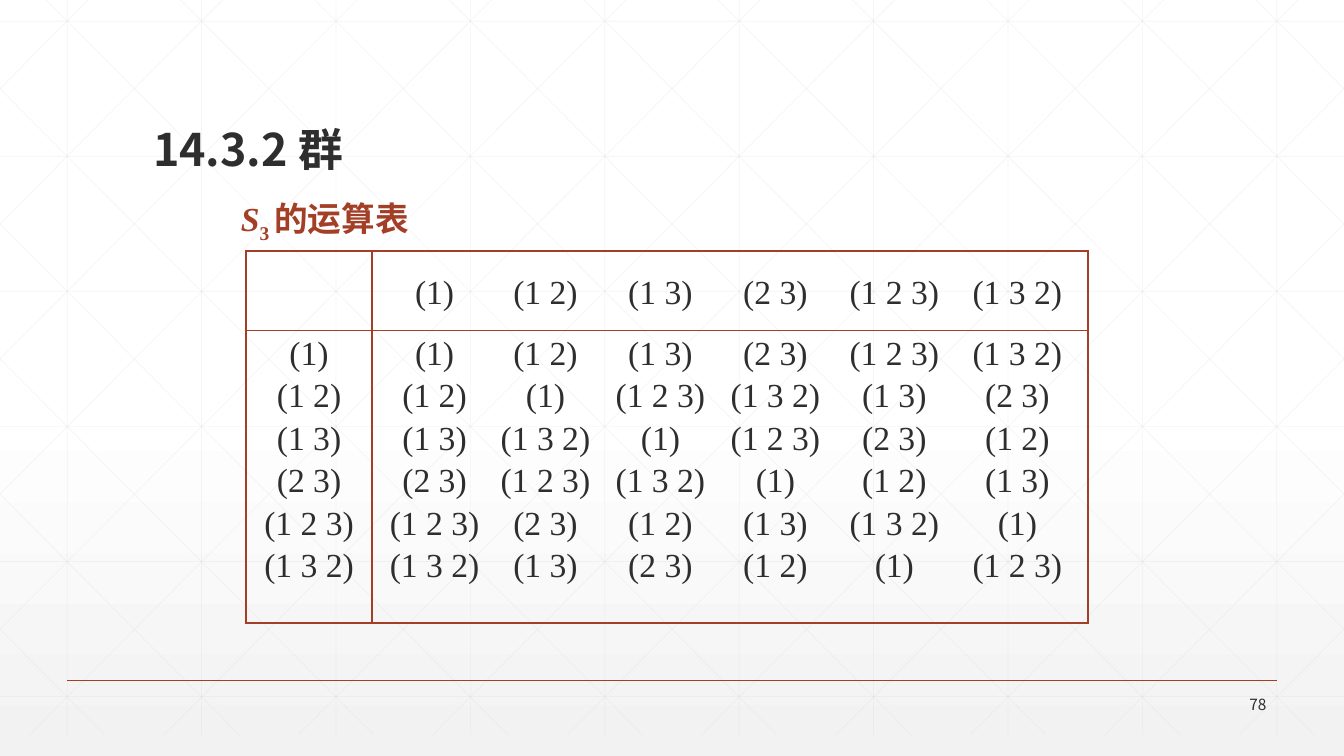
from dataclasses import dataclass
from lxml.etree import SubElement
from pptx import Presentation
from pptx.dml.color import RGBColor
from pptx.enum.shapes import MSO_CONNECTOR
from pptx.enum.text import MSO_ANCHOR, MSO_AUTO_SIZE, PP_ALIGN
from pptx.oxml.ns import qn
from pptx.util import Inches, Pt

SECTION = "14.3.2 群"
SUBTITLE = [
    ("S", {"italic": True}, None),
    ("3 ", {}, "-25000"),
    ("的运算表", {}, None),
]
PAGE_NUMBER = "78"
ELEMENTS = ["(1)", "(1 2)", "(1 3)", "(2 3)", "(1 2 3)", "(1 3 2)"]
PRODUCTS = [
    ["(1)", "(1 2)", "(1 3)", "(2 3)", "(1 2 3)", "(1 3 2)"],
    ["(1 2)", "(1)", "(1 2 3)", "(1 3 2)", "(1 3)", "(2 3)"],
    ["(1 3)", "(1 3 2)", "(1)", "(1 2 3)", "(2 3)", "(1 2)"],
    ["(2 3)", "(1 2 3)", "(1 3 2)", "(1)", "(1 2)", "(1 3)"],
    ["(1 2 3)", "(2 3)", "(1 2)", "(1 3)", "(1 3 2)", "(1)"],
    ["(1 3 2)", "(1 3)", "(2 3)", "(1 2)", "(1)", "(1 2 3)"],
]


@dataclass(frozen=True)
class Theme:
    ink: str = "2D2E2D"
    accent: str = "A43F27"
    mesh: str = "D9D9D9"
    paper: str = "FFFFFF"
    shade: str = "F2F2F2"
    serif: str = "Times New Roman"
    sans: str = "Noto Sans CJK SC"
    heading: int = 32
    body: int = 24
    small: int = 11
    thick: float = 2.25
    thin: float = 1
    hairline: float = 0.5


THEME = Theme()
WIDTH, HEIGHT = 13.33, 7.5
MESH_TOP, MESH_BOTTOM = -0.21, 7.29
MESH_STEP = WIDTH / 10
MESH_ROW = 1.34
DIAGONAL_START, DIAGONAL_RUN = 0.25, 7.455
COLUMN_WIDTHS = [1.25, 7.1]
ROW_HEIGHTS = [0.79, 2.9]
TAB_STOPS = [0.52, 1.62, 2.76, 3.9, 5.08, 6.3]


def color(value):
    return RGBColor.from_string(value)


def apply(target, values):
    for name, value in values.items():
        setattr(target, name, value)


def add_span(para, text, size, tint, font, extra=None, baseline=None):
    span = para.add_run()
    span.text = text
    apply(span.font, {"size": Pt(size), "name": font, **(extra or {})})
    span.font.color.rgb = color(tint)
    properties = span.font._element
    SubElement(properties, qn("a:ea")).set("typeface", THEME.sans)
    if baseline:
        properties.set("baseline", baseline)


def prepare_frame(box, anchor):
    apply(box.text_frame, {
        "word_wrap": True,
        "auto_size": MSO_AUTO_SIZE.NONE,
        "vertical_anchor": anchor,
    })
    return box.text_frame.paragraphs[0]


def add_line(shapes, start, end, tint, weight, opacity=None):
    line = shapes.add_connector(
        MSO_CONNECTOR.STRAIGHT, *(Inches(value) for value in (*start, *end)))
    line.line.color.rgb = color(tint)
    line.line.width = Pt(weight)
    properties = line._element.spPr
    if opacity:
        fill = properties.find(".//" + qn("a:srgbClr"))
        SubElement(fill, qn("a:alpha")).set("val", str(opacity * 1000))
    SubElement(properties, qn("a:effectLst"))


def mesh_lines():
    for index in range(10):
        x = MESH_STEP * (index + 0.5)
        yield (x, MESH_TOP), (x, MESH_BOTTOM)
    for index in range(6):
        y = 0.21 + MESH_ROW * index
        yield (0, y), (WIDTH, y)
    slope = (MESH_BOTTOM - MESH_TOP) / DIAGONAL_RUN
    for index in range(-5, 10):
        origin = DIAGONAL_START + MESH_STEP * index
        ends = [max(origin, 0), min(origin + DIAGONAL_RUN, WIDTH)]
        points = [(x, MESH_TOP + (x - origin) * slope) for x in ends]
        yield points
        yield [(WIDTH - x, y) for x, y in points]


def draw_background(page):
    fill = page.background.fill
    fill.gradient()
    fill.gradient_angle = 270
    for stop, position, tint in zip(
            fill.gradient_stops, (0.53, 1), (THEME.paper, THEME.shade)):
        stop.color.rgb = color(tint)
        stop.position = position
    mesh = page.shapes.add_group_shape()
    for start, end in mesh_lines():
        add_line(mesh.shapes, start, end, THEME.mesh, THEME.hairline, 25)
    add_line(page.shapes, (WIDTH * 0.05, HEIGHT * 0.9),
             (WIDTH * 0.95, HEIGHT * 0.9), THEME.accent, THEME.thin)


def draw_labels(page):
    title = page.shapes.title
    apply(title, {"left": Inches(2.29), "top": Inches(1.18),
                  "width": Inches(8.5), "height": Inches(1.25)})
    para = prepare_frame(title, MSO_ANCHOR.BOTTOM)
    apply(para, {"alignment": PP_ALIGN.LEFT, "line_spacing": 0.9})
    for text, extra, baseline in SUBTITLE:
        add_span(para, text, THEME.body, THEME.accent, THEME.serif,
                 {"bold": True, **extra}, baseline)
    page.shapes._spTree.append(title._element)

    labels = [
        (SECTION, (1.42, 0.55, 10.5, 1.25), MSO_ANCHOR.BOTTOM, THEME.heading,
         True, PP_ALIGN.LEFT),
        (PAGE_NUMBER, (11.66, 6.88, 1, 0.24), MSO_ANCHOR.MIDDLE, THEME.small,
         False, PP_ALIGN.RIGHT),
    ]
    for text, place, anchor, size, bold, alignment in labels:
        box = page.shapes.add_textbox(*(Inches(value) for value in place))
        para = prepare_frame(box, anchor)
        apply(para, {"alignment": alignment, "line_spacing": 0.9})
        add_span(para, text, size, THEME.ink, THEME.sans, {"bold": bold})


def set_borders(cell, row, column):
    cell.fill.background()
    properties = cell._tc.get_or_add_tcPr()
    outer = {"L": column == 0, "R": column == 1, "T": row == 0, "B": row == 1}
    for index, (side, is_outer) in enumerate(outer.items()):
        edge = SubElement(properties, qn("a:ln" + side))
        edge.set("w", str(Pt(THEME.thick if is_outer else THEME.thin)))
        fill = SubElement(edge, qn("a:solidFill"))
        SubElement(fill, qn("a:srgbClr")).set("val", THEME.accent)
        properties.insert(index, edge)


def write_lines(cell, lines, values, tabbed):
    frame = cell.text_frame
    for index, text in enumerate(lines):
        para = frame.add_paragraph() if index else frame.paragraphs[0]
        apply(para, values)
        if tabbed:
            stops = SubElement(para._p.get_or_add_pPr(), qn("a:tabLst"))
            for position in TAB_STOPS:
                stop = SubElement(stops, qn("a:tab"))
                stop.set("pos", str(Inches(position)))
                stop.set("algn", "ctr")
        add_span(para, text, THEME.body, THEME.ink, THEME.serif)


def draw_table(page):
    table = page.shapes.add_table(
        2, 2, Inches(2.44), Inches(2.49),
        Inches(sum(COLUMN_WIDTHS)), Inches(sum(ROW_HEIGHTS))).table
    apply(table, {"first_row": False, "horz_banding": False})
    for column, width in zip(table.columns, COLUMN_WIDTHS):
        column.width = Inches(width)
    for row, height in zip(table.rows, ROW_HEIGHTS):
        row.height = Inches(height)
    for row in range(2):
        for column in range(2):
            set_borders(table.cell(row, column), row, column)
    header, *body = ["".join("\t" + item for item in row)
                     for row in [ELEMENTS, *PRODUCTS]]
    spacing = {"space_before": Pt(3.75)}
    write_lines(table.cell(0, 1), [header],
                {"line_spacing": 1.5, "space_before": Pt(18)}, True)
    write_lines(table.cell(1, 0), ELEMENTS,
                {**spacing, "alignment": PP_ALIGN.CENTER}, False)
    write_lines(table.cell(1, 1), body, spacing, True)


def main():
    deck = Presentation()
    apply(deck, {"slide_width": Inches(WIDTH), "slide_height": Inches(HEIGHT)})
    page = deck.slides.add_slide(deck.slide_layouts[5])
    draw_background(page)
    draw_labels(page)
    draw_table(page)
    deck.save("out.pptx")


if __name__ == "__main__":
    main()
